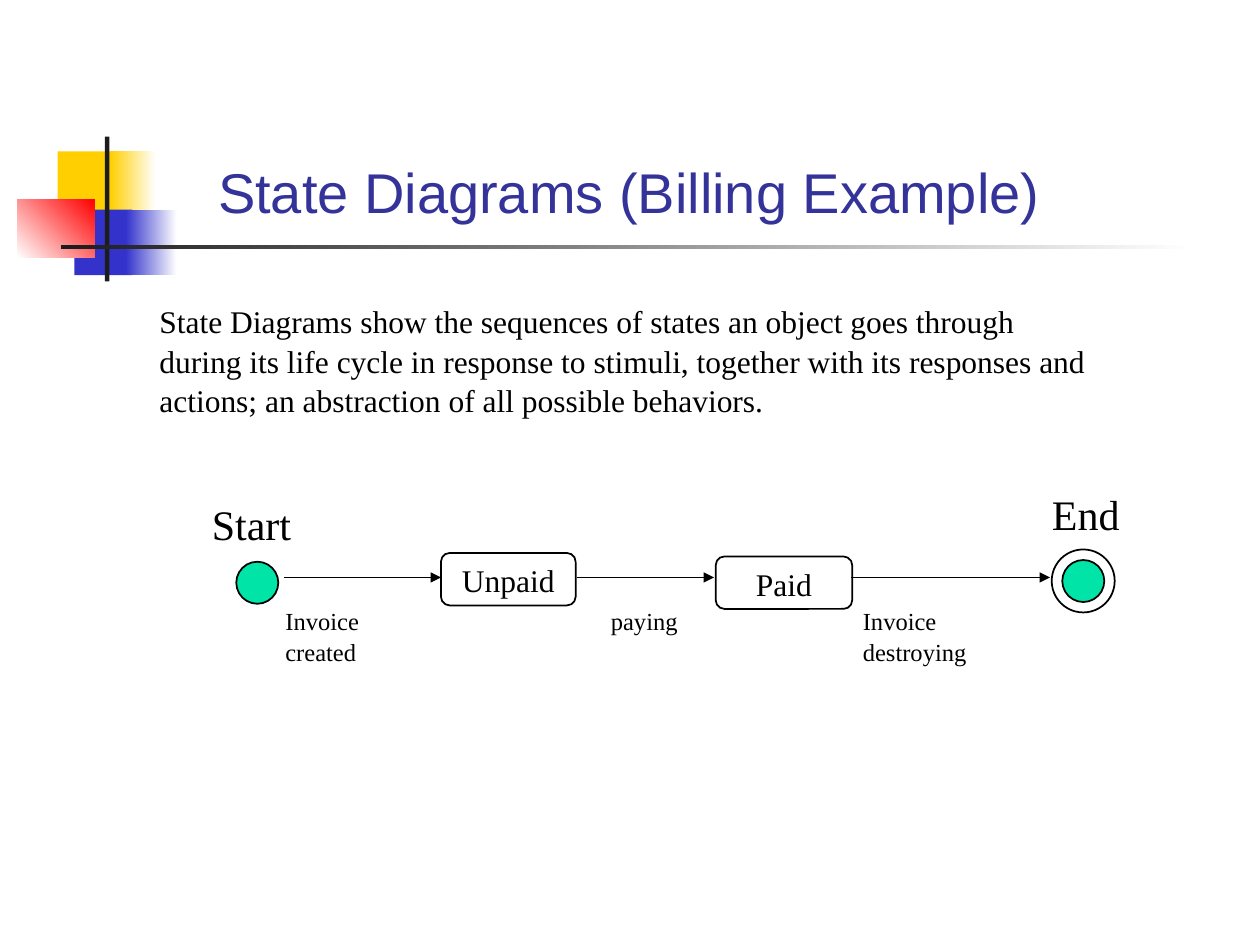
from lxml import etree
from pptx import Presentation
from pptx import util as u
from pptx.dml.color import RGBColor
from pptx.enum import shapes, text
from pptx.oxml import ns

BLACK = RGBColor(0x00, 0x00, 0x00)
WHITE = RGBColor(0xFF, 0xFF, 0xFF)
CHARCOAL = RGBColor(0x1C, 0x1C, 0x1C)
YELLOW = RGBColor(0xFF, 0xCF, 0x01)
BLUE = RGBColor(0x33, 0x33, 0xCC)
RED = RGBColor(0xFF, 0x00, 0x00)
NAVY = RGBColor(0x33, 0x33, 0x99)
GREEN = RGBColor(0x00, 0xE4, 0xA8)

Kind = shapes.MSO_SHAPE
Anchor = text.MSO_ANCHOR
Align = text.PP_ALIGN


class DiagramSlide:
    font = "Times New Roman"
    leading = 1.05
    outline = 1
    arrow_width = 0.75

    def __init__(self, deck):
        self.page = deck.slides.add_slide(deck.slide_layouts[6])

    def add_words(self, box, words, size, color=BLACK, font=None, leading=None,
                  align=Align.LEFT, anchor=Anchor.TOP, wrap=True, indent=7.2):
        frame = box.text_frame
        frame.word_wrap = wrap
        frame.vertical_anchor = anchor
        frame.margin_left = u.Pt(indent)
        para = frame.paragraphs[0]
        para.alignment = align
        para.line_spacing = leading or self.leading
        span = para.add_run()
        span.text = words
        span.font.size = u.Pt(size)
        span.font.name = font or self.font
        span.font.color.rgb = color

    def label(self, place, words, size, **style):
        box = self.page.shapes.add_textbox(*map(u.Pt, place))
        self.add_words(box, words, size, **style)

    def shape(self, kind, place, fill=None, line=None):
        box = self.page.shapes.add_shape(kind, *map(u.Pt, place))
        box.shadow.inherit = False
        if fill is None:
            box.fill.background()
        else:
            box.fill.solid()
            box.fill.fore_color.rgb = fill
        if line is None:
            box.line.fill.background()
        else:
            box.line.color.rgb = line
            box.line.width = u.Pt(self.outline)
        return box

    def fade(self, place, first, last, angle=0):
        fill = self.shape(Kind.RECTANGLE, place).fill
        fill.gradient()
        fill.gradient_angle = angle
        for stop, color in zip(fill.gradient_stops, (first, last)):
            stop.color.rgb = color

    def state(self, place, words):
        box = self.shape(Kind.FLOWCHART_ALTERNATE_PROCESS, place, line=BLACK)
        self.add_words(box, words, 18, align=Align.CENTER,
                       anchor=Anchor.MIDDLE, wrap=False)

    def circle(self, center_x, center_y, diameter, fill=None):
        place = (center_x - diameter / 2, center_y - diameter / 2,
                 diameter, diameter)
        self.shape(Kind.OVAL, place, fill, BLACK)

    def arrow(self, start, end, y):
        line = self.page.shapes.add_connector(
            shapes.MSO_CONNECTOR.STRAIGHT, *map(u.Pt, (start, y, end, y)))
        line.line.color.rgb = BLACK
        line.line.width = u.Pt(self.arrow_width)
        properties = line._element.spPr
        stroke = properties.find(ns.qn("a:ln"))
        etree.SubElement(stroke, ns.qn("a:tailEnd"), type="triangle")
        etree.SubElement(properties, ns.qn("a:effectLst"))


def main():
    deck = Presentation()
    deck.slide_width, deck.slide_height = u.Pt(720), u.Pt(540)
    slide = DiagramSlide(deck)

    slide.shape(Kind.RECTANGLE, (33, 86.5, 34.5, 37.5), YELLOW)
    slide.fade((63, 86.5, 26, 37.5), YELLOW, WHITE)
    slide.shape(Kind.RECTANGLE, (42.5, 119.75, 33, 37.5), BLUE)
    slide.fade((72, 119.75, 29, 37.5), BLUE, WHITE)
    slide.fade((10, 113.75, 44, 33.5), WHITE, RED, 45)
    slide.shape(Kind.RECTANGLE, (60, 78, 2.5, 82.75), CHARCOAL)
    slide.fade((34.75, 140.1, 648, 2.5), CHARCOAL, WHITE)

    slide.label((90.75, 16.5, 587.5, 115.25), "State Diagrams (Billing Example)",
                32, color=NAVY, font="Arial", leading=1,
                anchor=Anchor.BOTTOM, indent=33.9)
    slide.label((84, 168, 552, 72),
                "State Diagrams show the sequences of states an object goes "
                "through during its life cycle in response to stimuli, together "
                "with its responses and actions; an abstraction of all possible "
                "behaviors.", 18)

    slide.state((252, 316, 77, 30), "Unpaid")
    slide.state((409, 318, 78, 30), "Paid")
    slide.circle(147, 333, 24, GREEN)
    slide.circle(619, 332, 24, GREEN)
    slide.circle(619, 332, 36)
    slide.label((114, 280, 78, 36), "Start", 24)
    slide.label((594, 274, 54, 36), "End", 24)

    for start, end in ((162, 252), (330, 408), (486, 600)):
        slide.arrow(start, end, 330)
    for left, width, words in ((156, 103.5, "Invoice  created"),
                               (342, 52.5, "paying"),
                               (486, 119, "Invoice destroying")):
        slide.label((left, 342, width, 24.5), words, 14, wrap=False)

    deck.save("out.pptx")


if __name__ == "__main__":
    main()
